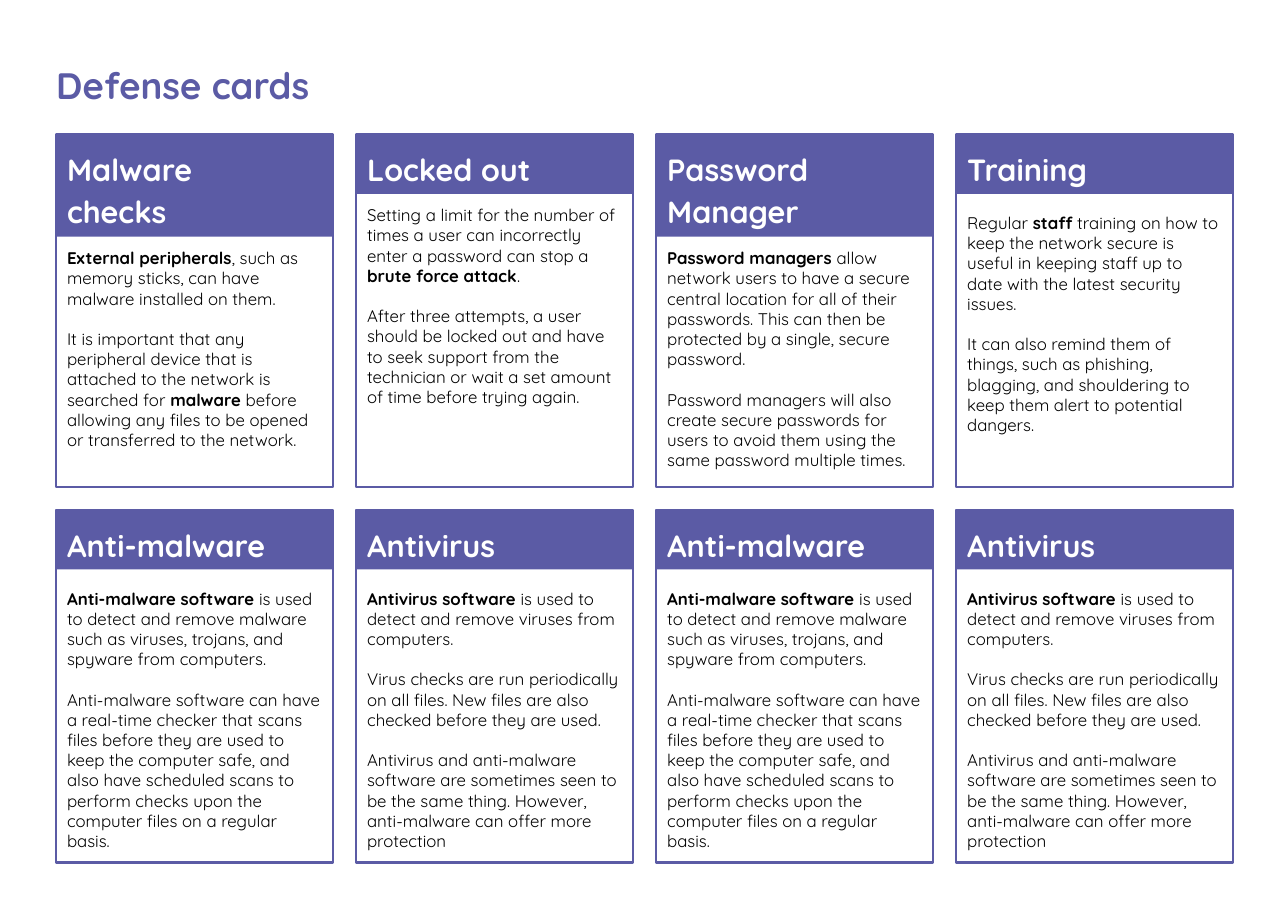
import dataclasses

import pptx
import pptx.dml.color
import pptx.enum.shapes
import pptx.enum.text
import pptx.util
from pptx.util import Inches


@dataclasses.dataclass(frozen=True)
class Theme:
    """Colours, font and type sizes of the cards."""
    font: str = "Quicksand"
    purple: str = "5B5BA5"
    white: str = "FFFFFF"
    black: str = "000000"
    title_size: int = 24
    heading_size: int = 20
    body_size: int = 11
    border_width: float = 1.5
    heading_spacing: float = 1.15
    body_gap: float = 13.2


@dataclasses.dataclass(frozen=True)
class Card:
    """Wording of a card and the depths of its header and body start."""
    heading: str
    body: tuple
    header_height: float = 0.54
    body_offset: float = 0.61


THEME = Theme()
CARD_WIDTH, CARD_HEIGHT = 2.51, 3.2
LEFT, COLUMN_PITCH = 0.51, (8.68 - 0.51) / 3
TOP, ROW_PITCH = 1.22, 3.41
COLUMNS = 4

ANTI_MALWARE = Card("Anti-malware", (
    "**Anti-malware software** is used to detect and remove malware such as "
    "viruses, trojans, and spyware from computers.",
    "Anti-malware software can have a real-time checker that scans files before "
    "they are used to keep the computer safe, and also have scheduled scans to "
    "perform checks upon the computer files on a regular basis."))
ANTIVIRUS = Card("Antivirus", (
    "**Antivirus software** is used to detect and remove viruses from computers.",
    "Virus checks are run periodically on all files. New files are also checked "
    "before they are used.",
    "Antivirus and anti-malware software are sometimes seen to be the same thing. "
    "However, anti-malware can offer more protection"))
CARDS = (
    Card("Malware\vchecks", (
        "**External peripherals**, such as memory sticks, can have malware "
        "installed on them.",
        "It is important that any peripheral device that is attached to the network "
        "is searched for **malware** before allowing any files to be opened or "
        "transferred to the network."), 0.93, 0.93),
    Card("Locked out", (
        "Setting a limit for the number of times a user can incorrectly enter a "
        "password can stop a **brute force attack**.",
        "After three attempts, a user should be locked out and have to seek support "
        "from the technician or wait a set amount of time before trying again."),
        body_offset=0.54),
    Card("Password\vManager", (
        "**Password managers** allow network users to have a secure central location "
        "for all of their passwords. This can then be protected by a single, secure "
        "password.",
        "Password managers will also create secure passwords for users to avoid them "
        "using the same password multiple times."), 0.93, 0.93),
    Card("Training", (
        "Regular **staff** training on how to keep the network secure is useful in "
        "keeping staff up to date with the latest security issues.",
        "It can also remind them of things, such as phishing, blagging, and "
        "shouldering to keep them alert to potential dangers.")),
    ANTI_MALWARE, ANTIVIRUS, ANTI_MALWARE, ANTIVIRUS,
)


def rgb(colour):
    """Return the colour for a hexadecimal string."""
    return pptx.dml.color.RGBColor.from_string(colour)


def set_font(paragraph, size, colour):
    """Give a paragraph the theme font, left aligned."""
    paragraph.alignment = pptx.enum.text.PP_ALIGN.LEFT
    paragraph.font.name = THEME.font
    paragraph.font.size = pptx.util.Pt(size)
    paragraph.font.color.rgb = rgb(colour)


def set_frame(frame):
    """Wrap the text from the top with equal insets."""
    frame.word_wrap = True
    frame.auto_size = pptx.enum.text.MSO_AUTO_SIZE.SHAPE_TO_FIT_TEXT
    frame.vertical_anchor = pptx.enum.text.MSO_ANCHOR.TOP
    frame.margin_left = frame.margin_right = Inches(0.1)
    frame.margin_top = frame.margin_bottom = Inches(0.1)


def write_heading(frame, wording, size, colour):
    """Write a bold heading into a text frame."""
    set_frame(frame)
    heading = frame.paragraphs[0]
    heading.text = wording
    heading.line_spacing = THEME.heading_spacing
    heading.space_before = pptx.util.Pt(0)
    heading.space_after = pptx.util.Pt(6)
    set_font(heading, size, colour)
    heading.font.bold = True


def add_title(slide, wording):
    """Place and format the slide title."""
    title = slide.shapes.title
    title.left, title.top = Inches(0.41), Inches(0.41)
    title.width, title.height = Inches(3.28), Inches(0.61)
    write_heading(title.text_frame, wording, THEME.title_size, THEME.purple)


def add_rectangle(slide, left, top, height):
    """Add a shadowless rectangle as wide as a card."""
    rectangle = slide.shapes.add_shape(
        pptx.enum.shapes.MSO_SHAPE.RECTANGLE,
        Inches(left), Inches(top), Inches(CARD_WIDTH), Inches(height))
    rectangle.shadow.inherit = False
    return rectangle


def add_body(slide, left, top, height, wording):
    """Add body paragraphs, with bold between double asterisks."""
    body = slide.shapes.add_textbox(
        Inches(left), Inches(top), Inches(CARD_WIDTH), Inches(height))
    frame = body.text_frame
    set_frame(frame)
    for index, text in enumerate(wording):
        paragraph = frame.add_paragraph() if index else frame.paragraphs[0]
        if index:
            paragraph.space_before = pptx.util.Pt(THEME.body_gap)
        set_font(paragraph, THEME.body_size, THEME.black)
        for part, words in enumerate(text.split("**")):
            if words:
                run = paragraph.add_run()
                run.text = words
                run.font.bold = part % 2 == 1


def add_card(slide, card, left, top):
    """Add the border, header and body of a card."""
    border = add_rectangle(slide, left, top, CARD_HEIGHT)
    border.fill.background()
    border.line.color.rgb = rgb(THEME.purple)
    border.line.width = pptx.util.Pt(THEME.border_width)
    header = add_rectangle(slide, left, top, card.header_height)
    header.fill.solid()
    header.fill.fore_color.rgb = rgb(THEME.purple)
    header.line.fill.background()
    write_heading(header.text_frame, card.heading, THEME.heading_size, THEME.white)
    add_body(slide, left, top + card.body_offset,
             CARD_HEIGHT - card.body_offset, card.body)


def main():
    """Build the slide of defense cards."""
    deck = pptx.Presentation()
    deck.slide_width, deck.slide_height = Inches(11.69), Inches(8.27)
    slide = deck.slides.add_slide(deck.slide_layouts[5])
    add_title(slide, "Defense cards")
    for index, card in enumerate(CARDS):
        row, column = divmod(index, COLUMNS)
        add_card(slide, card, LEFT + column * COLUMN_PITCH, TOP + row * ROW_PITCH)
    deck.save("out.pptx")


if __name__ == "__main__":
    main()
